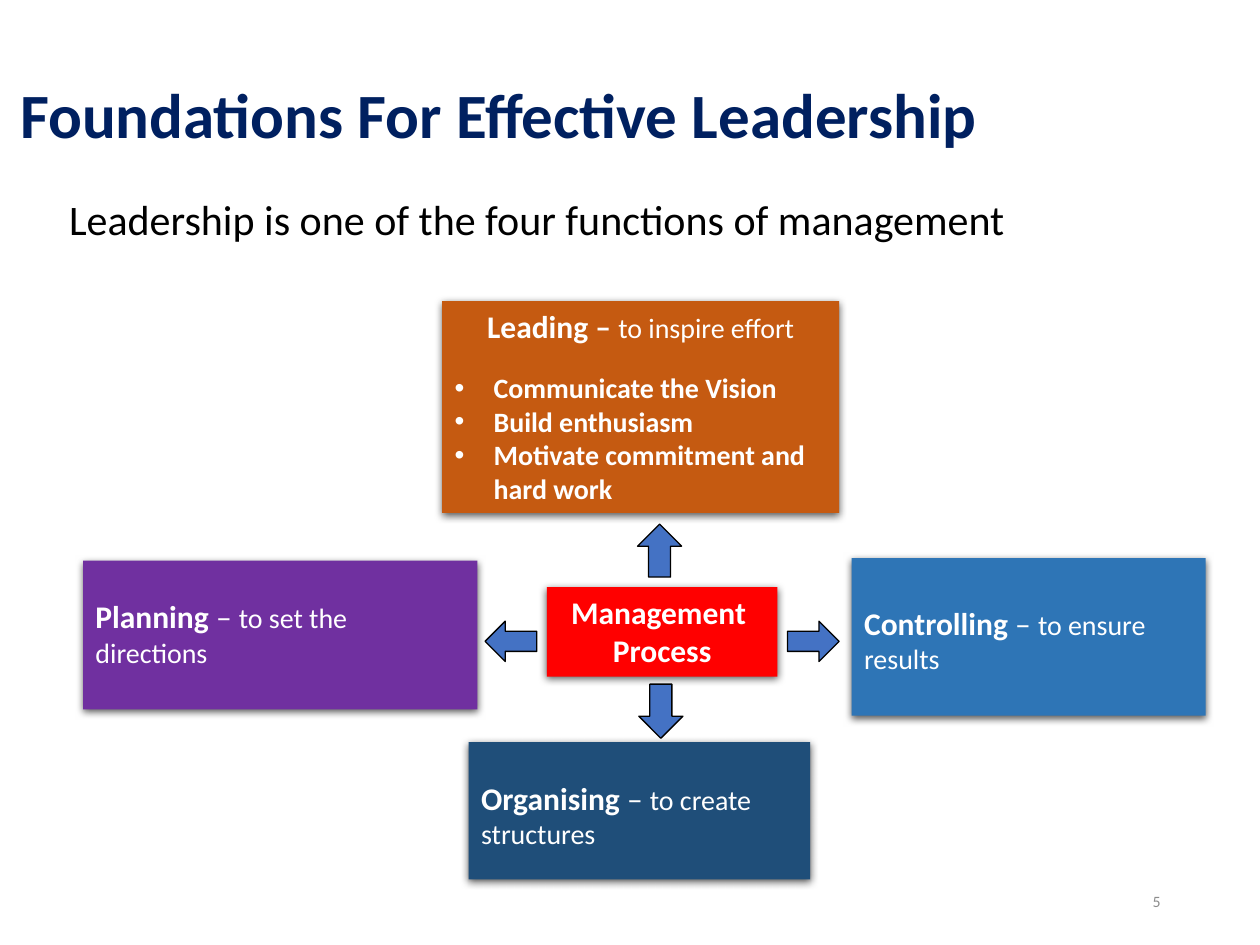
from lxml.etree import SubElement
from pptx import Presentation
from pptx.dml.color import RGBColor
from pptx.enum.shapes import MSO_SHAPE as Shape
from pptx.enum.text import MSO_ANCHOR as Anchor, PP_ALIGN as Align
from pptx.oxml.ns import qn
from pptx.util import Inches, Pt

BLACK = RGBColor(0x00, 0x00, 0x00)
WHITE = RGBColor(0xFF, 0xFF, 0xFF)
NAVY = RGBColor(0x00, 0x20, 0x60)
GRAY = RGBColor(0x8C, 0x8C, 0x8C)
RED = RGBColor(0xFF, 0x00, 0x00)
ORANGE = RGBColor(0xC5, 0x5A, 0x11)
BLUE = RGBColor(0x2E, 0x75, 0xB6)
DEEP = RGBColor(0x1F, 0x4E, 0x79)
PURPLE = RGBColor(0x70, 0x30, 0xA0)
ARROW = RGBColor(0x44, 0x72, 0xC4)

LABELS = [
    ("Leadership is one of the four functions of management",
     (0.45, 1.49, 9.54, 1.18), 24, BLACK, False, Align.LEFT, Anchor.TOP, 0.1),
    ("Foundations For Effective Leadership",
     (0, 0.4, 9.77, 1), 36, NAVY, True, Align.LEFT, Anchor.MIDDLE, 0.16),
    ("5", (7.06, 6.95, 2.25, 0.4), 9, GRAY, False, Align.RIGHT, Anchor.MIDDLE, 0.1),
]
CENTER = ["Management ", "Process"]
LEADING = [("Leading – ", 18, True), ("to inspire effort", 16, False)]
POINTS = ["Communicate the Vision", "Build enthusiasm", "Motivate commitment and hard work"]
DUTIES = [
    ("Controlling", "to ensure results", (6.76, 4.43, 2.81, 1.25), BLUE, 0.36),
    ("Organising", "to create structures", (3.72, 5.89, 2.71, 1.09), DEEP, 0.29),
    ("Planning", "to set the directions", (0.66, 4.45, 3.13, 1.18), PURPLE, 0.29),
]
ARROWS = [
    (Shape.LEFT_ARROW, (3.85, 4.93, 0.41, 0.32)),
    (Shape.DOWN_ARROW, (5.07, 5.43, 0.35, 0.43)),
    (Shape.UP_ARROW, (5.06, 4.16, 0.35, 0.42)),
    (Shape.RIGHT_ARROW, (6.25, 4.93, 0.41, 0.32)),
]


def write(para, runs, color=WHITE, align=Align.LEFT):
    para.alignment = align
    for text, size, bold in runs:
        run = para.add_run()
        run.text = text
        font = run.font
        font.name, font.size, font.bold = "Calibri", Pt(size), bold
        font.color.rgb = color


def add_label(slide, text, at, size, color, bold, align, anchor, left):
    frame = slide.shapes.add_textbox(*map(Inches, at)).text_frame
    frame.word_wrap = True
    frame.vertical_anchor = anchor
    frame.margin_left = Inches(left)
    write(frame.paragraphs[0], [(text, size, bold)], color, align)


def add_shape(slide, kind, at, fill):
    shape = slide.shapes.add_shape(kind, *map(Inches, at))
    shape.shadow.inherit = False
    shape.fill.solid()
    shape.fill.fore_color.rgb = fill
    return shape


def add_box(slide, at, fill, top=0.05):
    box = add_shape(slide, Shape.RECTANGLE, at, fill)
    box.line.fill.background()
    effects = box._element.spPr.find(qn("a:effectLst"))
    shadow = SubElement(effects, qn("a:outerShdw"), blurRad=str(Pt(4.5)),
                        dist=str(Pt(1.5)), dir="5400000", rotWithShape="0")
    tint = SubElement(shadow, qn("a:srgbClr"), val="000000")
    SubElement(tint, qn("a:alpha"), val="63000")
    frame = box.text_frame
    frame.word_wrap = True
    frame.vertical_anchor = Anchor.TOP
    frame.margin_top = Inches(top)
    return frame


def add_bullet(para):
    props = para._p.get_or_add_pPr()
    props.set("marL", str(Inches(0.31)))
    props.set("indent", str(Inches(-0.31)))
    SubElement(props, qn("a:buFont"), typeface="Arial")
    SubElement(props, qn("a:buChar"), char="•")


def main():
    deck = Presentation()
    deck.slide_width, deck.slide_height = Inches(10), Inches(7.5)
    slide = deck.slides.add_slide(deck.slide_layouts[6])

    for label in LABELS:
        add_label(slide, *label)

    frame = add_box(slide, (4.34, 4.66, 1.83, 0.71), RED)
    for i, line in enumerate(CENTER):
        para = frame.add_paragraph() if i else frame.paragraphs[0]
        write(para, [(line, 18, True)], align=Align.CENTER)

    frame = add_box(slide, (3.51, 2.39, 3.15, 1.68), ORANGE)
    write(frame.paragraphs[0], LEADING, align=Align.CENTER)
    for i, point in enumerate(POINTS):
        para = frame.add_paragraph()
        add_bullet(para)
        para.space_before = Pt(0 if i else 14.6)
        write(para, [(point, 16, True)])

    for name, goal, at, fill, top in DUTIES:
        frame = add_box(slide, at, fill, top)
        write(frame.paragraphs[0], [(name, 18, True), (" – ", 18, False), (goal, 16, False)])

    for kind, at in ARROWS:
        arrow = add_shape(slide, kind, at, ARROW)
        arrow.line.color.rgb = BLACK
        arrow.line.width = Pt(0.75)

    deck.save("out.pptx")


if __name__ == "__main__":
    main()
